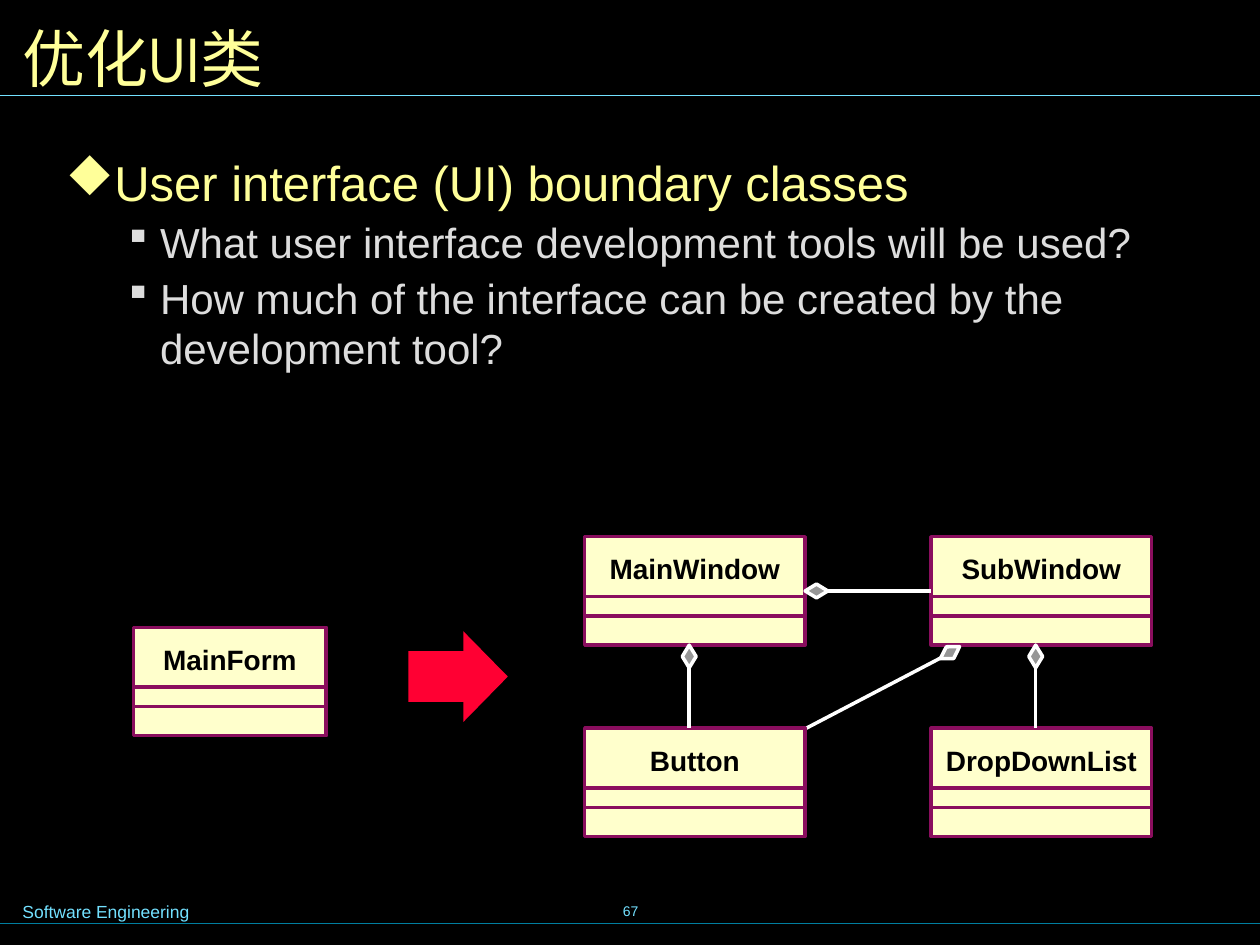
"""Build the slide on refining user interface classes."""
import pptx
import pptx.dml.color
import pptx.enum.shapes
import pptx.enum.text
import pptx.oxml.ns
import pptx.util
from lxml import etree

THEME = {
    "bg": "000000", "heading": "FFFF99", "body": "DDDDDD", "accent": "73E1FF",
    "rule": "007E9F", "fill": "FFFFCC", "edge": "8A0E5E", "link": "FFFFFF",
    "diamond": "969696", "arrow": "FF0033", "label": "000000",
    "font": "Arial", "title_font": "Arial Narrow", "bullet_font": "Wingdings",
    "title_pt": 36, "lead_pt": 28, "point_pt": 24, "label_pt": 16,
    "footer_pt": 10, "page_pt": 8, "stroke": 2, "hairline": 0.75,
}
W, H = 10, 7.5
COLS, ROWS = (4.64, 7.39), (4.26, 5.78)
BOX_W, BOX_H = 1.75, 0.86
DIVIDERS = (0.55, 0.73)
LABEL_TOP, LABEL_H = 0.12, 0.27
DIAMOND_W, DIAMOND_H = 0.11, 0.18
LINK_X = 0.83

TITLE = "优化UI类"
BULLETS = [
    ("User interface (UI) boundary classes", 0),
    ("What user interface development tools will be used?", 1),
    ("How much of the interface can be created by the development tool?", 1),
]
LEVELS = [
    {"mark": "u", "color": "heading", "size": "lead_pt", "margin": 0.37, "hang": 0.37, "before": 3.5},
    {"mark": "§", "color": "body", "size": "point_pt", "margin": 0.75, "hang": 0.25, "before": 3},
]
CLASSES = [
    ("MainForm", 1.06, 4.98, 1.53, 1.06),
    ("SubWindow", COLS[1], ROWS[0], BOX_W, 1.27),
    ("DropDownList", COLS[1], ROWS[1], BOX_W, 1.52),
    ("Button", COLS[0], ROWS[1], BOX_W, 0.71),
    ("MainWindow", COLS[0], ROWS[0], BOX_W, 1.36),
]

SHAPE = pptx.enum.shapes.MSO_SHAPE
ANCHOR = pptx.enum.text.MSO_ANCHOR
ALIGN = pptx.enum.text.PP_ALIGN
inch, pt = pptx.util.Inches, pptx.util.Pt
qn = pptx.oxml.ns.qn


def rgb(name):
    return pptx.dml.color.RGBColor.from_string(THEME[name])


def apply(target, values):
    for name, value in values.items():
        setattr(target, name, value)


def write(p, text, color, size, font="font", bold=False):
    r = p.add_run()
    r.text = text
    apply(r.font, {"name": THEME[font], "size": pt(THEME[size]), "bold": bold})
    r.font.color.rgb = rgb(color)


def frame(sp, pad_x=0.1, pad_y=0.05, wrap=True, anchor=ANCHOR.TOP):
    tf = sp.text_frame
    apply(tf, {"margin_left": inch(pad_x), "margin_right": inch(pad_x),
               "margin_top": inch(pad_y), "margin_bottom": inch(pad_y),
               "word_wrap": wrap, "vertical_anchor": anchor})
    return tf


def text_box(s, at, **options):
    return frame(s.shapes.add_textbox(*map(inch, at)), **options)


def shape(s, kind, at, fill, edge=None):
    sp = s.shapes.add_shape(kind, *map(inch, at))
    sp.shadow.inherit = False
    sp.fill.solid()
    sp.fill.fore_color.rgb = rgb(fill)
    if edge:
        sp.line.color.rgb = rgb(edge)
        sp.line.width = pt(THEME["stroke"])
    else:
        sp.line.fill.background()
    return sp


def line(s, start, end, color, width="stroke"):
    cx = s.shapes.add_connector(pptx.enum.shapes.MSO_CONNECTOR.STRAIGHT, *map(inch, start + end))
    cx.line.color.rgb = rgb(color)
    cx.line.width = pt(THEME[width])
    etree.SubElement(cx._element.spPr, qn("a:effectLst"))
    return cx


def uml_class(s, name, x, y, w, label_w):
    box = shape(s, SHAPE.RECTANGLE, (x, y, w, BOX_H), "fill", "edge")
    for share in DIVIDERS:
        level = y + share * BOX_H
        line(s, (x, level), (x + w, level), "edge")
    sp = shape(s, SHAPE.RECTANGLE, (x + (w - label_w) / 2, y + LABEL_TOP, label_w, LABEL_H), "fill")
    p = frame(sp, 0, 0, False).paragraphs[0]
    p.alignment = ALIGN.CENTER
    write(p, name, "label", "label_pt", bold=True)
    return box


def diamond(s, x, y, rotation=0):
    at = (x - DIAMOND_W / 2, y - DIAMOND_H / 2, DIAMOND_W, DIAMOND_H)
    shape(s, SHAPE.DIAMOND, at, "diamond", "link").rotation = rotation


def bullet(p, text, level):
    look = LEVELS[level]
    pPr = p._p.get_or_add_pPr()
    pPr.set("marL", str(inch(look["margin"])))
    pPr.set("indent", str(-inch(look["hang"])))
    color = etree.SubElement(pPr, qn("a:buClr"))
    etree.SubElement(color, qn("a:srgbClr"), val=THEME[look["color"]])
    etree.SubElement(pPr, qn("a:buFont"), typeface=THEME["bullet_font"], charset="2")
    etree.SubElement(pPr, qn("a:buChar"), char=look["mark"])
    p.level = level
    if text != BULLETS[0][0]:
        p.space_before = pt(look["before"])
    write(p, text, look["color"], look["size"])


def add_text(s):
    line(s, (0, 7.33), (W, 7.33), "rule", "hairline")
    line(s, (0, 0.76), (W, 0.76), "accent", "hairline")
    tf = text_box(s, (3.42, 6.98, 3.17, 0.5), wrap=False, anchor=ANCHOR.MIDDLE)
    tf.paragraphs[0].alignment = ALIGN.CENTER
    write(tf.paragraphs[0], "67", "accent", "page_pt")
    tf = text_box(s, (0.08, 7.1, 2.95, 0.27))
    write(tf.paragraphs[0], "Software Engineering", "accent", "footer_pt")
    tf = text_box(s, (0.08, 0.08, 9.84, 0.75), anchor=ANCHOR.MIDDLE)
    write(tf.paragraphs[0], TITLE, "heading", "title_pt", "title_font")
    tf = text_box(s, (0.4, 1.15, 9.29, 2.52), pad_x=0.12, pad_y=0.06)
    for i, (text, level) in enumerate(BULLETS):
        bullet(tf.add_paragraph() if i else tf.paragraphs[0], text, level)


def add_diagram(s):
    line(s, (7.47, 5.22), (6.36, 5.8), "link")
    boxes = {item[0]: uml_class(s, *item) for item in CLASSES}

    arrow = shape(s, SHAPE.RIGHT_ARROW, (3.24, 5.01, 0.79, 0.72), "arrow")
    arrow.adjustments[0], arrow.adjustments[1] = 0.56, 0.49

    middle = ROWS[0] + BOX_H / 2
    tip = COLS[0] + BOX_W + DIAMOND_H / 2
    cx = line(s, (tip + DIAMOND_H / 2, middle), (COLS[1], middle), "link")
    cx.end_connect(boxes["SubWindow"], 1)
    diamond(s, tip, middle, 270)

    joint = ROWS[0] + BOX_H + DIAMOND_H / 2
    for x in COLS:
        line(s, (x + LINK_X, joint + DIAMOND_H / 2), (x + LINK_X, ROWS[1]), "link")
        diamond(s, x + LINK_X, joint)
    diamond(s, 7.54, 5.18, 58)


def main():
    prs = pptx.Presentation()
    prs.slide_width, prs.slide_height = inch(W), inch(H)
    s = prs.slides.add_slide(prs.slide_layouts[6])
    s.background.fill.solid()
    s.background.fill.fore_color.rgb = rgb("bg")
    add_text(s)
    add_diagram(s)
    prs.save("out.pptx")


if __name__ == "__main__":
    main()
